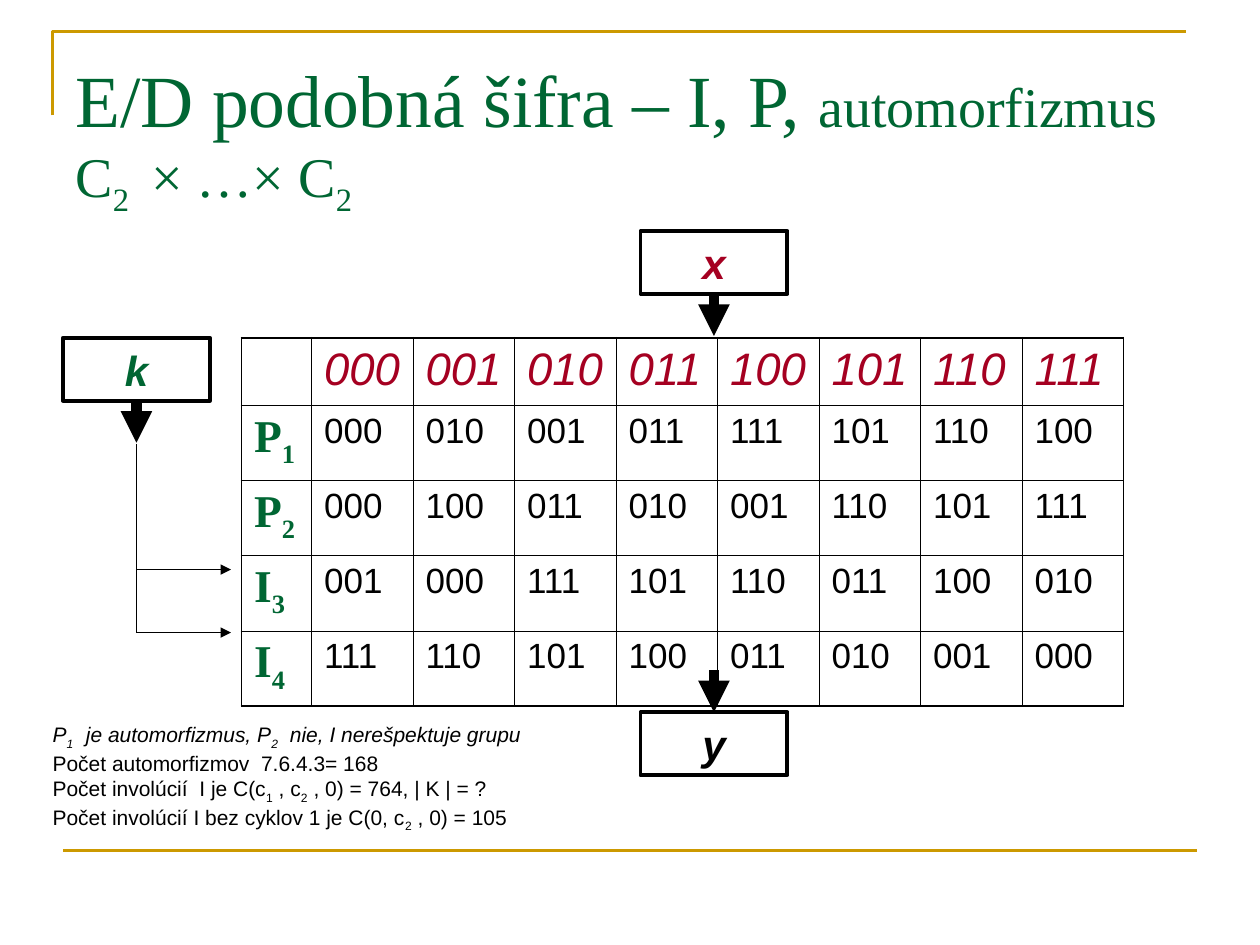
from dataclasses import dataclass, replace

from lxml import etree
from pptx import Presentation
from pptx.dml.color import RGBColor
from pptx.enum.shapes import MSO_CONNECTOR, MSO_SHAPE
from pptx.enum.text import MSO_ANCHOR, PP_ALIGN
from pptx.oxml.ns import qn
from pptx.shapes.autoshape import Shape
from pptx.shapes.connector import Connector
from pptx.slide import Slide
from pptx.table import _Cell
from pptx.text.text import _Paragraph
from pptx.util import Pt

STRAIGHT = MSO_CONNECTOR.STRAIGHT
RECTANGLE = MSO_SHAPE.RECTANGLE
CENTER = PP_ALIGN.CENTER
MIDDLE = MSO_ANCHOR.MIDDLE
TOP_SIDE, BOTTOM_SIDE = 0, 2


@dataclass(frozen=True)
class Style:
    size: float
    color: str
    font: str = "Arial"
    bold: bool = False
    italic: bool = False


@dataclass(frozen=True)
class Theme:
    black: str = "000000"
    gold: str = "CC9900"
    title: Style = Style(42, "006633", "Times New Roman")
    subtitle: Style = Style(32, "006633", "Times New Roman")
    header: Style = Style(26, "A50021", italic=True)
    row_label: Style = Style(26, "006633", "Times New Roman", bold=True)
    value: Style = Style(20, "000000")
    note: Style = Style(12, "000000")
    box_size: float = 24
    rule: float = 1.5
    thick_arrow: float = 6
    thin_line: float = 0.75
    box_line: float = 2.25
    outer_border: float = 1.08
    inner_border: float = 0.45


@dataclass(frozen=True)
class Box:
    label: str
    left: float
    top: float
    color: str
    arrow_side: int


THEME = Theme()
BOX_WIDTH, BOX_HEIGHT, ARROW_LENGTH = 84, 36, 24
TABLE_LEFT, TABLE_TOP = 138, 193
LABEL_WIDTH, VALUE_WIDTH = 40, 58
HEADER_HEIGHT, ROW_HEIGHT = 38.6, 43
BRANCH_X, BRANCH_START, BRANCH_END = 78, 253.5, 132
BRANCH_LEVELS = (325.5, 361.5)

BOXES = (
    Box("x", 366, 132, "A50021", BOTTOM_SIDE),
    Box("k", 36, 193, "006633", BOTTOM_SIDE),
    Box("y", 366, 407, "000000", TOP_SIDE),
)
ROWS = (
    ("", "000 001 010 011 100 101 110 111"),
    ("P_1_", "000 010 001 011 111 101 110 100"),
    ("P_2_", "000 100 011 010 001 110 101 111"),
    ("I_3_", "001 000 111 101 110 011 100 010"),
    ("I_4_", "111 110 101 100 011 010 001 000"),
)
NOTES = (
    ("P_1  _ je automorfizmus, P_2_  nie, I nerešpektuje grupu", True),
    ("Počet automorfizmov  7.6.4.3= 168", False),
    ("Počet involúcií  I je C(c_1_ , c_2_ , 0) = 764, | K | = ?", False),
    ("Počet involúcií I bez cyklov 1 je C(0, c_2_ , 0) = 105", False),
)


def add_runs(paragraph: _Paragraph, marked_text: str, style: Style) -> None:
    for index, part in enumerate(marked_text.split("_")):
        if not part:
            continue
        run = paragraph.add_run()
        run.text = part
        run.font.size = Pt(style.size)
        run.font.name = style.font
        run.font.bold = style.bold
        run.font.italic = style.italic
        run.font.color.rgb = RGBColor.from_string(style.color)
        if index % 2:
            run._r.get_or_add_rPr().set("baseline", "-25000")


def add_line(slide: Slide, start: tuple[float, float], end: tuple[float, float],
             width: float, color: str, arrow: bool = False) -> Connector:
    line = slide.shapes.add_connector(STRAIGHT, *map(Pt, start + end))
    line.line.width = Pt(width)
    line.line.color.rgb = RGBColor.from_string(color)
    if arrow:
        etree.SubElement(line.line._get_or_add_ln(), qn("a:tailEnd"), type="triangle")
    etree.SubElement(line._element.spPr, qn("a:effectLst"))
    return line


def add_text_box(slide: Slide, left: float, top: float, width: float, height: float) -> Shape:
    return slide.shapes.add_textbox(Pt(left), Pt(top), Pt(width), Pt(height))


def add_frame(slide: Slide) -> None:
    builder = slide.shapes.build_freeform(Pt(30), Pt(66))
    builder.add_line_segments([(Pt(30), Pt(18)), (Pt(678), Pt(18))], close=False)
    corner = builder.convert_to_shape()
    corner.shadow.inherit = False
    corner.fill.background()
    corner.line.width = Pt(THEME.rule)
    corner.line.color.rgb = RGBColor.from_string(THEME.gold)
    add_line(slide, (36, 486), (684, 486), THEME.rule, THEME.gold)


def add_title(slide: Slide) -> None:
    text_frame = add_text_box(slide, 36, 21.6, 648, 90).text_frame
    text_frame.word_wrap = True
    text_frame.margin_top = Pt(9)
    paragraph = text_frame.paragraphs[0]
    add_runs(paragraph, "E/D podobná šifra – I, P, ", THEME.title)
    add_runs(paragraph, "automorfizmus ", THEME.subtitle)
    paragraph.add_line_break()
    add_runs(paragraph, "C_2 _ × …× C_2_", THEME.subtitle)


def set_borders(cell: _Cell, outer_sides: dict[str, bool]) -> None:
    properties = cell._tc.get_or_add_tcPr()
    for side, outer in outer_sides.items():
        width = THEME.outer_border if outer else THEME.inner_border
        border = etree.SubElement(properties, qn(f"a:ln{side}"), w=str(Pt(width)))
        fill = etree.SubElement(border, qn("a:solidFill"))
        etree.SubElement(fill, qn("a:srgbClr"), val=THEME.black)


def add_cipher_table(slide: Slide) -> None:
    grid = [[label, *values.split()] for label, values in ROWS]
    last_row, last_column = len(grid) - 1, len(grid[0]) - 1
    table = slide.shapes.add_table(
        last_row + 1, last_column + 1, Pt(TABLE_LEFT), Pt(TABLE_TOP),
        Pt(LABEL_WIDTH + VALUE_WIDTH * last_column),
        Pt(HEADER_HEIGHT + ROW_HEIGHT * last_row)).table
    table.first_row = table.horz_banding = False
    for index, column in enumerate(table.columns):
        column.width = Pt(VALUE_WIDTH if index else LABEL_WIDTH)
    for index, row in enumerate(table.rows):
        row.height = Pt(ROW_HEIGHT if index else HEADER_HEIGHT)
    for r, texts in enumerate(grid):
        for c, text in enumerate(texts):
            cell = table.cell(r, c)
            style = THEME.header if r == 0 else THEME.value if c else THEME.row_label
            add_runs(cell.text_frame.paragraphs[0], text, style)
            set_borders(cell, {"L": c == 0, "R": c == last_column,
                               "T": r == 0, "B": r == last_row})
            cell.fill.background()


def add_box(slide: Slide, box: Box) -> None:
    shape = slide.shapes.add_shape(
        RECTANGLE, Pt(box.left), Pt(box.top), Pt(BOX_WIDTH), Pt(BOX_HEIGHT))
    shape.shadow.inherit = False
    shape.fill.background()
    shape.line.width = Pt(THEME.box_line)
    shape.line.color.rgb = RGBColor.from_string(THEME.black)
    shape.text_frame.vertical_anchor = MIDDLE
    paragraph = shape.text_frame.paragraphs[0]
    paragraph.alignment = CENTER
    add_runs(paragraph, box.label, Style(THEME.box_size, box.color, bold=True, italic=True))

    center = box.left + BOX_WIDTH / 2
    outgoing = box.arrow_side == BOTTOM_SIDE
    start = box.top + BOX_HEIGHT if outgoing else box.top - ARROW_LENGTH
    arrow = add_line(slide, (center, start), (center, start + ARROW_LENGTH),
                     THEME.thick_arrow, THEME.black, arrow=True)
    connect = arrow.begin_connect if outgoing else arrow.end_connect
    connect(shape, box.arrow_side)


def add_key_branches(slide: Slide) -> None:
    for level in BRANCH_LEVELS:
        add_line(slide, (BRANCH_X, level), (BRANCH_END, level),
                 THEME.thin_line, THEME.black, arrow=True)
    add_line(slide, (BRANCH_X, BRANCH_START), (BRANCH_X, BRANCH_LEVELS[-1]),
             THEME.thin_line, THEME.black)


def add_notes(slide: Slide) -> None:
    text_frame = add_text_box(slide, 23, 409, 282, 70.6).text_frame
    text_frame.word_wrap = False
    for index, (text, italic) in enumerate(NOTES):
        paragraph = text_frame.add_paragraph() if index else text_frame.paragraphs[0]
        add_runs(paragraph, text, replace(THEME.note, italic=italic))


def main() -> None:
    presentation = Presentation()
    presentation.slide_width, presentation.slide_height = Pt(720), Pt(540)
    slide = presentation.slides.add_slide(presentation.slide_layouts[6])
    add_frame(slide)
    add_title(slide)
    add_cipher_table(slide)
    for box in BOXES:
        add_box(slide, box)
    add_key_branches(slide)
    add_notes(slide)
    presentation.save("out.pptx")


if __name__ == "__main__":
    main()
